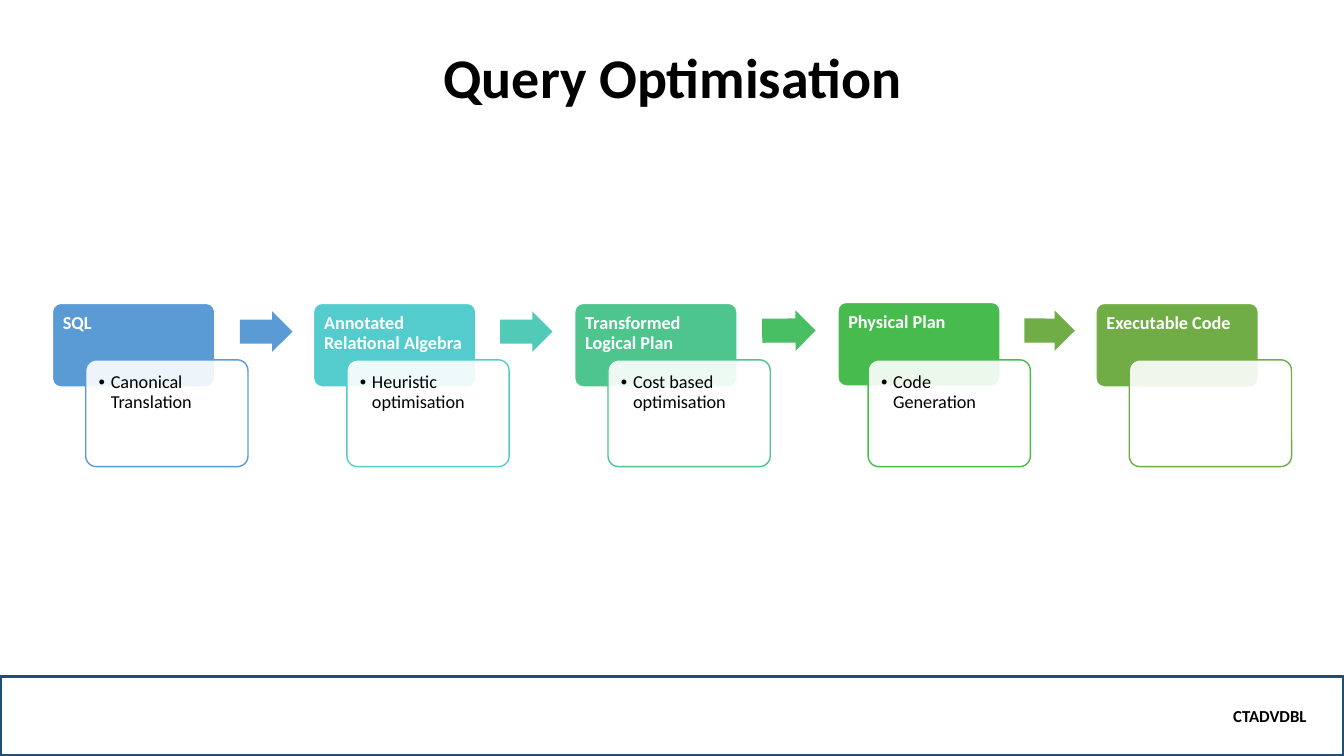
import dataclasses
import typing

import pptx
import pptx.dml.color
import pptx.enum.shapes
import pptx.enum.text
import pptx.oxml
import pptx.oxml.ns
import pptx.util

EMU_PER_PX = 9144
FONT = "Calibri"
COLOURS = {
    "black": "000000",
    "white": "FFFFFF",
    "navy": "1F4E79",
    "blue": "5B9BD5",
    "cyan": "54CCCD",
    "turquoise": "52CAB8",
    "mint": "4DC58D",
    "emerald": "49BF64",
    "green": "48BB4F",
    "olive": "70AD47",
}
FIRST_LEFT, STAGE_PITCH = 52, 258.75
HEADER_TOP, HEADER_WIDTH, HEADER_HEIGHT = 301, 161, 83
CARD_OFFSET, CARD_TOP, CARD_WIDTH, CARD_HEIGHT = 33, 357, 161, 106
ARROW_HEIGHT = 40
SHAPES = pptx.enum.shapes.MSO_SHAPE
ALIGN = pptx.enum.text.PP_ALIGN
ANCHOR = pptx.enum.text.MSO_ANCHOR


@dataclasses.dataclass(frozen=True)
class Arrow:
    left: int
    top: int
    width: int
    colour: str
    rotation: float = 0


@dataclasses.dataclass(frozen=True)
class Stage:
    heading: str
    step: str
    colour: str
    arrow: typing.Optional[Arrow] = None
    header_shift: tuple[int, int] = (0, 0)


STAGES = [
    Stage("SQL", "Canonical Translation", "blue", Arrow(238, 309, 52, "blue")),
    Stage("Annotated Relational Algebra", "Heuristic optimisation", "cyan",
          Arrow(496, 309, 52, "turquoise")),
    Stage("Transformed Logical Plan", "Cost based optimisation", "mint",
          Arrow(756, 308, 53, "emerald", -0.2)),
    Stage("Physical Plan", "Code Generation", "green",
          Arrow(1016, 308, 50, "olive", 0.3), (3, -1)),
    Stage("Executable Code", "", "olive"),
]


def px(length: int) -> pptx.util.Emu:
    return pptx.util.Emu(length * EMU_PER_PX)


def rgb(name: str) -> pptx.dml.color.RGBColor:
    return pptx.dml.color.RGBColor.from_string(COLOURS[name])


def add_box(slide, kind, left: int, top: int, width: int, height: int,
            fill: str = "", line: str = "", line_width: float = 1):
    shape = slide.shapes.add_shape(kind, px(left), px(top), px(width), px(height))
    shape.shadow.inherit = False
    if fill:
        shape.fill.solid()
        shape.fill.fore_color.rgb = rgb(fill)
    else:
        shape.fill.background()
    if line:
        shape.line.color.rgb = rgb(line)
        shape.line.width = pptx.util.Pt(line_width)
    else:
        shape.line.fill.background()
    return shape


def write_text(shape, text: str, size: int, colour: str, bold: bool, align, anchor,
               margins: tuple[int, int, int, int], line_spacing: float = 0.9):
    frame = shape.text_frame
    frame.word_wrap = True
    frame.auto_size = pptx.enum.text.MSO_AUTO_SIZE.NONE
    frame.vertical_anchor = anchor
    (frame.margin_left, frame.margin_top,
     frame.margin_right, frame.margin_bottom) = map(px, margins)
    paragraph = frame.paragraphs[0]
    paragraph.alignment = align
    paragraph.line_spacing = line_spacing
    paragraph.space_before = pptx.util.Pt(0)
    run = paragraph.add_run()
    run.text = text
    run.font.name = FONT
    run.font.size = pptx.util.Pt(size)
    run.font.bold = bold
    run.font.color.rgb = rgb(colour)
    return paragraph


def add_bullet(paragraph, indent: int) -> None:
    properties = paragraph._p.get_or_add_pPr()
    properties.set("marL", str(px(indent)))
    properties.set("indent", str(px(-indent)))
    namespace = pptx.oxml.ns.nsdecls("a")
    properties.append(pptx.oxml.parse_xml(f'<a:buFont {namespace} typeface="Arial"/>'))
    properties.append(pptx.oxml.parse_xml(f'<a:buChar {namespace} char="•"/>'))


def set_opacity(shape, percent: int) -> None:
    colour = shape.fill._xPr.find(".//" + pptx.oxml.ns.qn("a:srgbClr"))
    namespace = pptx.oxml.ns.nsdecls("a")
    colour.append(pptx.oxml.parse_xml(f'<a:alpha {namespace} val="{percent * 1000}"/>'))


def add_stage(slide, stage: Stage, left: int) -> None:
    shift_x, shift_y = stage.header_shift
    header = add_box(slide, SHAPES.ROUNDED_RECTANGLE, left + shift_x, HEADER_TOP + shift_y,
                     HEADER_WIDTH, HEADER_HEIGHT, stage.colour, "white")
    header.adjustments[0] = 0.1
    write_text(header, stage.heading, 13, "white", True, ALIGN.LEFT, ANCHOR.TOP, (8, 8, 8, 5))

    card = add_box(slide, SHAPES.ROUNDED_RECTANGLE, left + CARD_OFFSET, CARD_TOP,
                   CARD_WIDTH, CARD_HEIGHT, "white", stage.colour)
    card.adjustments[0] = 0.1
    set_opacity(card, 90)
    if stage.step:
        paragraph = write_text(card, stage.step, 13, "black", False, ALIGN.LEFT, ANCHOR.TOP,
                               (10, 10, 10, 10))
        add_bullet(paragraph, 12)

    if stage.arrow:
        arrow = add_box(slide, SHAPES.RIGHT_ARROW, stage.arrow.left, stage.arrow.top,
                        stage.arrow.width, ARROW_HEIGHT, stage.arrow.colour)
        arrow.adjustments[0] = 0.6
        arrow.adjustments[1] = 0.5
        arrow.rotation = stage.arrow.rotation


def main() -> None:
    presentation = pptx.Presentation()
    presentation.slide_width = px(1333)
    presentation.slide_height = px(750)
    slide = presentation.slides.add_slide(presentation.slide_layouts[5])

    title = slide.shapes.title
    title.left, title.top, title.width, title.height = map(px, (167, 21, 1000, 94))
    write_text(title, "Query Optimisation", 40, "black", True, ALIGN.CENTER, ANCHOR.BOTTOM,
               (10, 5, 10, 5))

    footer = add_box(slide, SHAPES.RECTANGLE, 0, 671, 1333, 79, line="navy", line_width=2.25)
    write_text(footer, "CTADVDBL", 12, "black", True, ALIGN.RIGHT, ANCHOR.MIDDLE,
               (10, 5, 37, 5), 1.0)

    for index, stage in enumerate(STAGES):
        add_stage(slide, stage, round(FIRST_LEFT + index * STAGE_PITCH))

    presentation.save("out.pptx")


if __name__ == "__main__":
    main()
